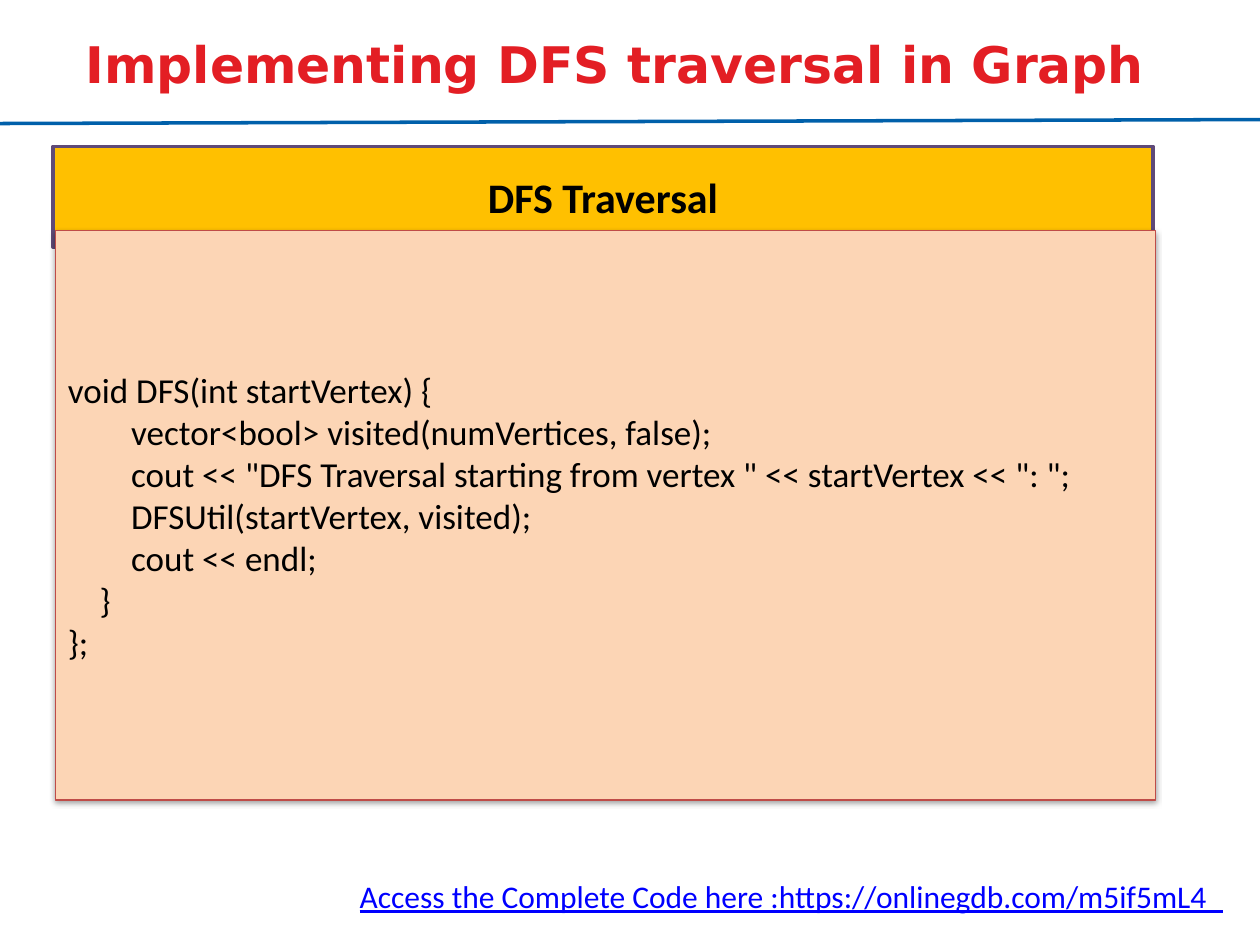
import pptx
import pptx.util
import pptx.dml.color
import pptx.enum.shapes
import pptx.enum.text
import pptx.oxml
import pptx.oxml.ns

Cm, Pt = pptx.util.Cm, pptx.util.Pt
LEFT = pptx.enum.text.PP_ALIGN.LEFT
MID = pptx.enum.text.PP_ALIGN.CENTER
RECT = pptx.enum.shapes.MSO_SHAPE.RECTANGLE
NS = pptx.oxml.ns.nsdecls("a")


def color(code):
    return pptx.dml.color.RGBColor.from_string(code)


def write(shape, text, size, face="Calibri", ink="000000", bold=False, align=LEFT):
    frame = shape.text_frame
    frame.text = text
    frame.word_wrap = True
    frame.vertical_anchor = pptx.enum.text.MSO_ANCHOR.MIDDLE
    for para in frame.paragraphs:
        para.alignment = align
        for run in para.runs:
            run.font.size = Pt(size)
            run.font.name = face
            run.font.bold = bold
            run.font.color.rgb = color(ink)


deck = pptx.Presentation()
deck.slide_width, deck.slide_height = Cm(25.4), Cm(19.05)
slide = deck.slides.add_slide(deck.slide_layouts[6])
shapes = slide.shapes

# Title
title = shapes.add_textbox(Cm(0.3), Cm(0.08), Cm(24.2), Cm(2.39))
write(title, "Implementing DFS traversal in Graph", 28.8,
      "DejaVu Sans", "E31E24", True, MID)

# Rule under the title
rule = shapes.add_connector(pptx.enum.shapes.MSO_CONNECTOR.STRAIGHT,
                            Cm(0), Cm(2.49), Cm(25.4), Cm(2.41))
rule.line.color.rgb = color("0060AA")
rule.line.width = Pt(2)
rule._element.spPr.append(pptx.oxml.parse_xml(f"<a:effectLst {NS}/>"))

# Heading bar and code panel
code = """void DFS(int startVertex) {
        vector<bool> visited(numVertices, false);
        cout << "DFS Traversal starting from vertex " << startVertex << ": ";
        DFSUtil(startVertex, visited);
        cout << endl;
    }
};"""
for left, top, high, fill, edge, width, text, size, bold, align in (
    (1.07, 2.95, 2.03, "FFC000", "5F4A78", 2, "DFS Traversal", 24, True, MID),
    (1.12, 4.65, 11.48, "FCD5B5", "BF4C48", 0.75, code, 20, False, LEFT),
):
    panel = shapes.add_shape(RECT, Cm(left), Cm(top), Cm(22.17), Cm(high))
    panel.shadow.inherit = False
    panel.fill.solid()
    panel.fill.fore_color.rgb = color(fill)
    panel.line.color.rgb = color(edge)
    panel.line.width = Pt(width)
    write(panel, text, size, bold=bold, align=align)

# Soft shadow below the code panel
glow = panel._element.spPr.find(pptx.oxml.ns.qn("a:effectLst"))
glow.append(pptx.oxml.parse_xml(
    f'<a:outerShdw {NS} blurRad="{Pt(3.1)}" dist="{Pt(1.6)}" dir="5400000" '
    'rotWithShape="0"><a:srgbClr val="000000"><a:alpha val="38000"/>'
    "</a:srgbClr></a:outerShdw>"))

# Code address
link = shapes.add_textbox(Cm(7), Cm(17.55), Cm(18.14), Cm(1.8))
write(link, "Access the Complete Code here :https://onlinegdb.com/m5if5mL4_",
      18, ink="0000FF")
frame = link.text_frame
frame.word_wrap = False
frame.vertical_anchor = pptx.enum.text.MSO_ANCHOR.TOP
frame.auto_size = pptx.enum.text.MSO_AUTO_SIZE.SHAPE_TO_FIT_TEXT
frame.paragraphs[0].runs[0].font.underline = True

deck.save("out.pptx")
